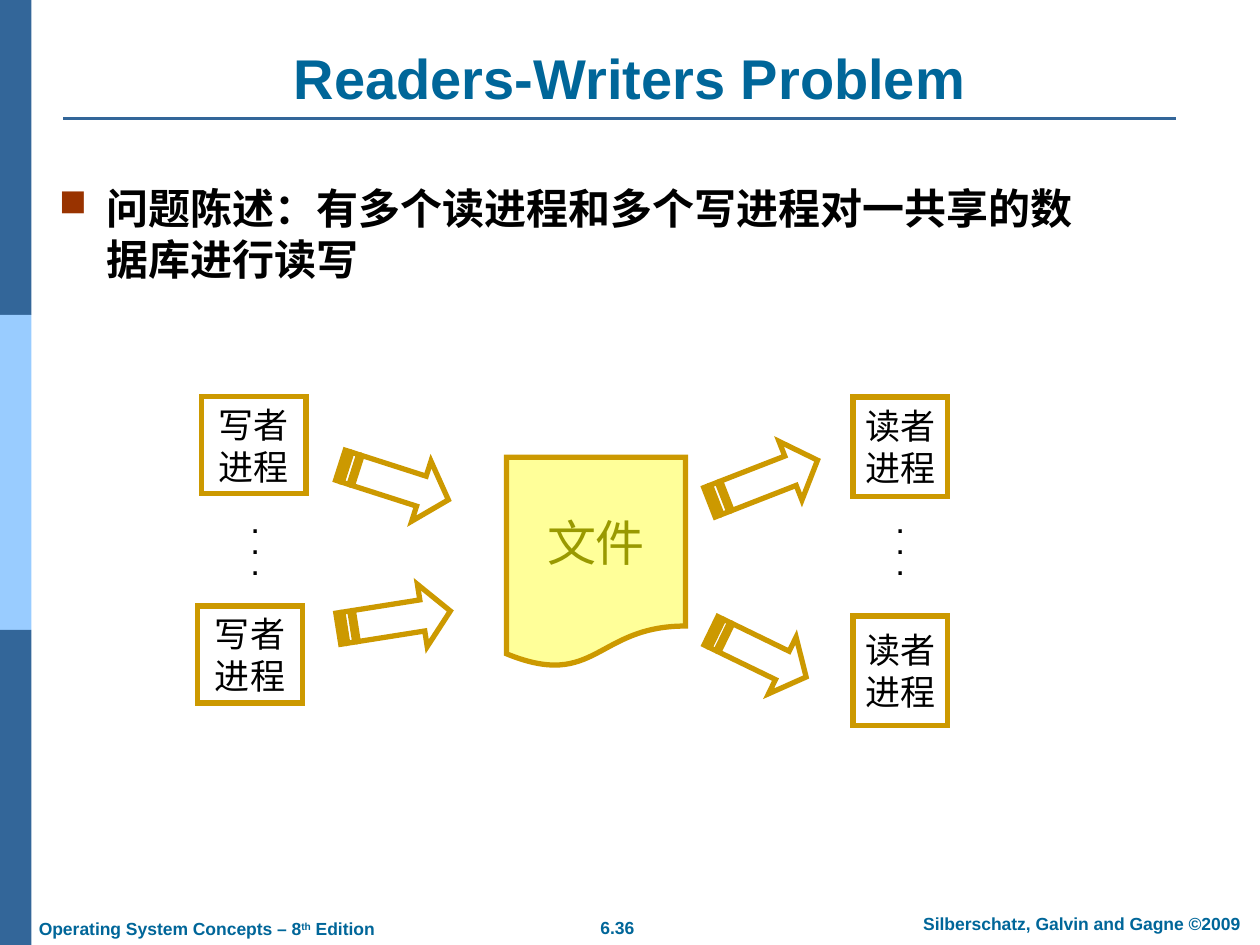
from typing import NamedTuple

from lxml.etree import SubElement
from pptx import Presentation
from pptx.dml.color import RGBColor
from pptx.enum.shapes import MSO_CONNECTOR, MSO_SHAPE
from pptx.enum.text import MSO_ANCHOR as Anchor, PP_ALIGN as Align
from pptx.oxml.ns import qn
from pptx.util import Inches, Pt

NAVY = RGBColor(0x33, 0x66, 0x99)
SKY = RGBColor(0x99, 0xCC, 0xFF)
TEAL = RGBColor(0x00, 0x66, 0x99)
BLACK = RGBColor(0x00, 0x00, 0x00)
GOLD = RGBColor(0xCC, 0x99, 0x00)
PALE_YELLOW = RGBColor(0xFF, 0xFF, 0x99)
OLIVE = RGBColor(0x99, 0x99, 0x00)
BULLET_RED = RGBColor(0x99, 0x33, 0x00)


class Box(NamedTuple):
    left: float
    top: float
    width: float
    height: float

    def emu(self):
        return [Inches(v) for v in self]


class Process(NamedTuple):
    box: Box
    role: str


class Arrow(NamedTuple):
    box: Box
    rotation: float


PROCESSES = [
    Process(Box(1.6, 3.15, 0.83, 0.77), "写者"),
    Process(Box(1.57, 4.81, 0.83, 0.77), "写者"),
    Process(Box(6.77, 3.15, 0.75, 0.79), "读者"),
    Process(Box(6.77, 4.89, 0.75, 0.87), "读者"),
]
ARROWS = [
    Arrow(Box(2.68, 3.58, 0.9, 0.5), 17.8),
    Arrow(Box(2.68, 4.67, 0.9, 0.5), -9),
    Arrow(Box(5.6, 3.57, 0.92, 0.5), -21.3),
    Arrow(Box(5.6, 4.94, 0.84, 0.5), 25.9),
]
DOTS = [Box(1.65, 4.1, 0.75, 0.5), Box(6.77, 4.1, 0.75, 0.5)]

# Striped arrow outlines on a grid 32 units wide and 4 units high
ARROW_COLUMNS, ARROW_ROWS = 32, 4
ARROW_HEAD = [(24, 0), (24, 1), (5, 1), (5, 3), (24, 3), (24, 4), (32, 2)]
ARROW_STRIPES = [(2, 4), (0, 1)]


def write(shape, *lines, size=20, color=BLACK, bold=False, align=Align.CENTER,
          anchor=Anchor.MIDDLE, wrap=False, spacing=None):
    """Fill a shape with one paragraph per line; a line is text or a list of runs."""
    tf = shape.text_frame
    tf.word_wrap = wrap
    tf.vertical_anchor = anchor
    for i, line in enumerate(lines):
        p = tf.add_paragraph() if i else tf.paragraphs[0]
        p.alignment = align
        p.line_spacing = spacing
        for text in [line] if isinstance(line, str) else line:
            r = p.add_run()
            r.text = text
            font = r.font
            font.name, font.size, font.bold = "Arial", Pt(size), bold
            font.color.rgb = color
    return tf


def add_text(s, box: Box, *lines, **fmt):
    return write(s.shapes.add_textbox(*box.emu()), *lines, **fmt)


def style(shape, fill=None, line=None):
    """Set fill and a sharp-cornered outline; None means none."""
    shape.shadow.inherit = False
    if fill is None:
        shape.fill.background()
    else:
        shape.fill.solid()
        shape.fill.fore_color.rgb = fill
    if line is None:
        shape.line.fill.background()
    else:
        shape.line.color.rgb = line
        shape.line.width = Pt(3)
        ln = shape._element.spPr.find(qn("a:ln"))
        SubElement(ln, qn("a:miter")).set("lim", "800000")
    return shape


def add_box(s, kind, box: Box, fill=None, line=None):
    return style(s.shapes.add_shape(kind, *box.emu()), fill, line)


def add_striped_arrow(s, arrow: Arrow) -> None:
    left, top, width, height = arrow.box.emu()
    scale = (width / ARROW_COLUMNS, height / ARROW_ROWS)
    builder = s.shapes.build_freeform(*ARROW_HEAD[0], scale=scale)
    builder.add_line_segments(ARROW_HEAD[1:], close=True)
    for x1, x2 in ARROW_STRIPES:
        builder.move_to(x1, 1)
        builder.add_line_segments([(x1, 3), (x2, 3), (x2, 1)], close=True)
    sp = style(builder.convert_to_shape(left, top), line=GOLD)
    sp.rotation = arrow.rotation


def add_bullet(p) -> None:
    pPr = p._p.get_or_add_pPr()
    pPr.set("marL", str(Inches(0.38)))
    pPr.set("indent", str(-Inches(0.38)))
    color = SubElement(SubElement(pPr, qn("a:buClr")), qn("a:srgbClr"))
    color.set("val", str(BULLET_RED))
    SubElement(pPr, qn("a:buSzPct")).set("val", "90000")
    SubElement(pPr, qn("a:buChar")).set("char", "■")


def add_frame(s) -> None:
    """Side bands, title rule and footer."""
    for i, color in enumerate([NAVY, SKY, NAVY]):
        add_box(s, MSO_SHAPE.RECTANGLE, Box(0, 2.5 * i, 0.25, 2.5), color)
    rule = s.shapes.add_connector(MSO_CONNECTOR.STRAIGHT, Inches(0.5), Inches(0.94),
                                  Inches(9.33), Inches(0.94))
    rule.line.color.rgb = NAVY
    rule.line.width = Pt(1.5)
    SubElement(rule._element.spPr, qn("a:effectLst"))

    footer = dict(size=10, color=TEAL, bold=True, anchor=Anchor.TOP, wrap=True)
    add_text(s, Box(4.41, 7.23, 0.98, 0.27), "6.36", **footer)
    add_text(s, Box(7.1, 7.2, 2.97, 0.27), "Silberschatz, Galvin and Gagne ©2009",
             **footer)
    tf = add_text(s, Box(0.21, 7.24, 3.2, 0.27),
                  ["Operating System Concepts – 8", "th", " Edition"],
                  align=Align.LEFT, **footer)
    ordinal = tf.paragraphs[0].runs[1]
    ordinal._r.get_or_add_rPr().set("baseline", "30000")


def add_diagram(s) -> None:
    document = add_box(s, MSO_SHAPE.FLOWCHART_DOCUMENT, Box(4.02, 3.63, 1.42, 1.67),
                       PALE_YELLOW, GOLD)
    write(document, "文件", size=28, color=OLIVE)
    for process in PROCESSES:
        sp = add_box(s, MSO_SHAPE.RECTANGLE, process.box, line=GOLD)
        write(sp, process.role, "进程")
    for arrow in ARROWS:
        add_striped_arrow(s, arrow)
    for box in DOTS:
        add_text(s, box, ".", ".", ".", spacing=0.5)


def main() -> None:
    prs = Presentation()
    prs.slide_width, prs.slide_height = Inches(10), Inches(7.5)
    s = prs.slides.add_slide(prs.slide_layouts[6])
    add_frame(s)
    add_text(s, Box(0.5, 0.3, 9, 0.63), "Readers-Writers Problem", size=32,
             color=TEAL, bold=True, anchor=Anchor.BOTTOM, wrap=True)
    tf = add_text(s, Box(0.37, 1.4, 8.36, 5.21),
                  "问题陈述：有多个读进程和多个写进程对一共享的数据库进行读写",
                  size=24, bold=True, align=Align.LEFT, anchor=Anchor.TOP, wrap=True)
    add_bullet(tf.paragraphs[0])
    add_diagram(s)
    prs.save("out.pptx")


if __name__ == "__main__":
    main()
